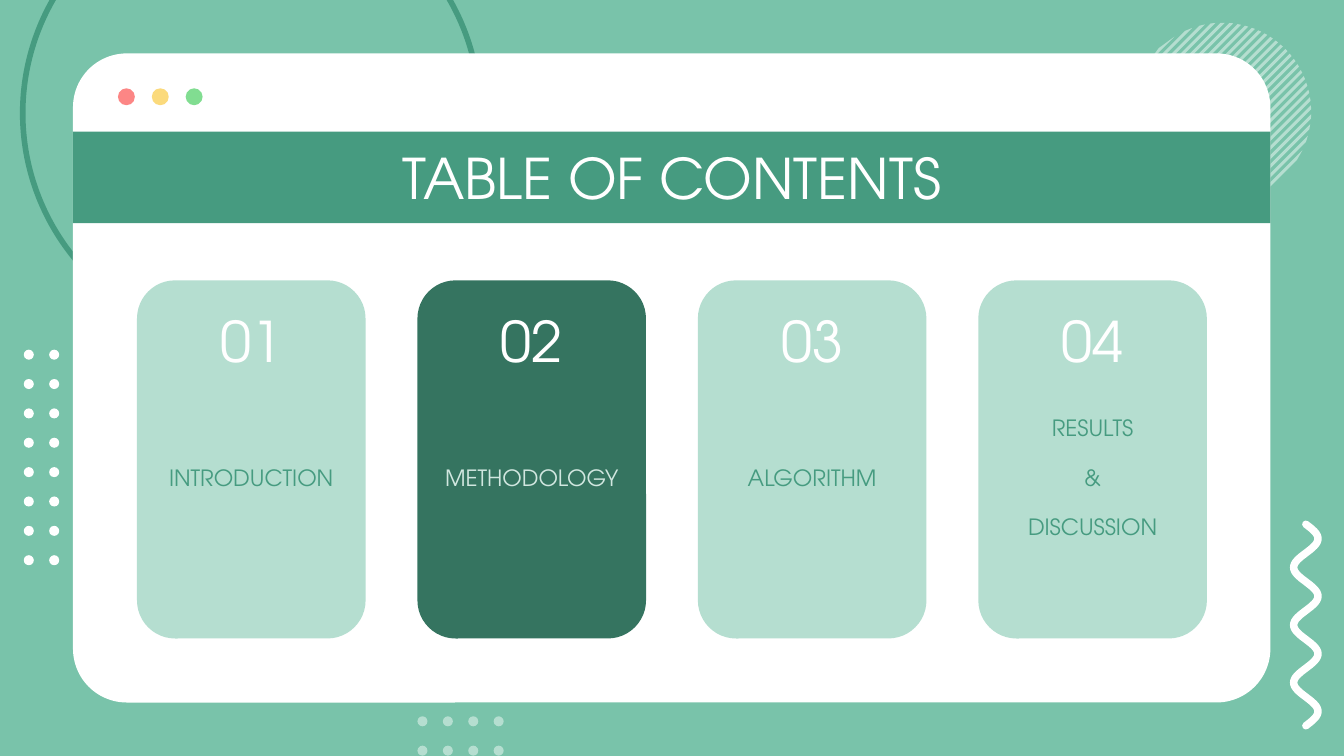
from dataclasses import dataclass
from math import pi, sin, sqrt

from lxml import etree
from pptx import Presentation
from pptx.dml.color import RGBColor
from pptx.enum.shapes import MSO_SHAPE
from pptx.enum.text import MSO_ANCHOR, PP_ALIGN
from pptx.oxml.ns import qn
from pptx.shapes.autoshape import Shape
from pptx.slide import Slide
from pptx.text.text import TextFrame
from pptx.util import Cm, Pt

OVAL = MSO_SHAPE.OVAL
RECTANGLE = MSO_SHAPE.RECTANGLE
ROUNDED = MSO_SHAPE.ROUNDED_RECTANGLE
MIDDLE = MSO_ANCHOR.MIDDLE
CENTER = PP_ALIGN.CENTER

FONT = "TeX Gyre Adventor"
WHITE = "FFFFFF"
BACKGROUND = "79C3AA"
GREEN = "469B80"
DARK_GREEN = "357460"
PALE_GREEN = "B5DED0"
MIST = "D1E7E0"


@dataclass(frozen=True)
class Card:
    number: str
    label: str
    fill: str = PALE_GREEN
    label_color: str = GREEN


@dataclass(frozen=True)
class DotGrid:
    left: float
    top: float
    columns: int
    rows: int
    color: str


CARDS = [
    Card("01", "INTRODUCTION"),
    Card("02", "METHODOLOGY", DARK_GREEN, MIST),
    Card("03", "ALGORITHM"),
    Card("04", "RESULTS\n&\nDISCUSSION"),
]
DOT_GRIDS = [
    DotGrid(0.45, 6.61, 2, 8, WHITE),
    DotGrid(7.89, 13.54, 4, 2, PALE_GREEN),
]
BUTTON_COLORS = ["FC8685", "FBDA7C", "81DD91"]


def rgb(color: str) -> RGBColor:
    return RGBColor.from_string(color)


def paint(shape: Shape, fill: str | None = None, line: str | None = None, width: float = 1) -> None:
    shape.shadow.inherit = False
    if fill:
        shape.fill.solid()
        shape.fill.fore_color.rgb = rgb(fill)
    else:
        shape.fill.background()
    if line:
        shape.line.color.rgb = rgb(line)
        shape.line.width = Pt(width)
    else:
        shape.line.fill.background()


def add_shape(
    page: Slide, kind: MSO_SHAPE, left: float, top: float, width: float, height: float,
    *, fill: str | None = None, line: str | None = None, line_width: float = 1,
    corner: float | None = None,
) -> Shape:
    shape = page.shapes.add_shape(kind, Cm(left), Cm(top), Cm(width), Cm(height))
    paint(shape, fill, line, line_width)
    if corner is not None:
        shape.adjustments[0] = corner
    return shape


def add_outline(page: Slide, points: list[tuple[float, float]], close: bool) -> Shape:
    corners = [(Cm(x), Cm(y)) for x, y in points]
    builder = page.shapes.build_freeform(*corners[0])
    builder.add_line_segments(corners[1:], close=close)
    return builder.convert_to_shape()


def write_text(
    frame: TextFrame, text: str, *, size: float, color: str, space_after: float = 0
) -> None:
    frame.word_wrap = True
    frame.vertical_anchor = MIDDLE
    frame.margin_left = frame.margin_right = frame.margin_top = frame.margin_bottom = 0
    for index, line in enumerate(text.split("\n")):
        para = frame.add_paragraph() if index else frame.paragraphs[0]
        para.alignment = CENTER
        para.space_after = Pt(space_after)
        span = para.add_run()
        span.text = line
        span.font.name = FONT
        span.font.size = Pt(size)
        span.font.color.rgb = rgb(color)


def draw_dots(page: Slide, grid: DotGrid) -> None:
    for column in range(grid.columns):
        for row in range(grid.rows):
            left = grid.left + column * 0.48
            top = grid.top + row * 0.555
            add_shape(page, OVAL, left, top, 0.19, 0.19, fill=grid.color)


def chord(
    center_x: float, center_y: float, radius: float, offset: float
) -> list[tuple[float, float]]:
    shift = offset / 2
    reach = sqrt(max(0, radius**2 - offset**2 / 2) / 2)
    return [
        (center_x + shift - reach, center_y + shift + reach),
        (center_x + shift + reach, center_y + shift - reach),
    ]


def draw_striped_disc(page: Slide, center_x: float, center_y: float, radius: float) -> None:
    for index in range(28):
        outer = -2.32 + index * 0.172
        near = chord(center_x, center_y, radius, outer - 0.08)
        far = chord(center_x, center_y, radius, outer)
        stripe = add_outline(page, near + far[::-1], close=True)
        paint(stripe, PALE_GREEN)


def draw_wave(page: Slide, middle: float, top: float, height: float) -> None:
    steps = 112
    points = [
        (middle + 0.23 * sin(7 * pi * step / steps), top + height * step / steps)
        for step in range(steps + 1)
    ]
    wave = add_outline(page, points, close=False)
    paint(wave, line=WHITE, width=4)
    stroke = wave.line._get_or_add_ln()
    stroke.set("cap", "rnd")
    etree.SubElement(stroke, qn("a:round"))


def draw_window(page: Slide) -> None:
    add_shape(page, ROUNDED, 1.38, 1.01, 22.63, 12.27, fill=WHITE, corner=0.083)
    for index, color in enumerate(BUTTON_COLORS):
        add_shape(page, OVAL, 2.23 + index * 0.64, 1.67, 0.32, 0.32, fill=color)


def draw_label(page: Slide, left: float, top: float, height: float) -> TextFrame:
    box = page.shapes.add_textbox(Cm(left), Cm(top), Cm(3.68), Cm(height))
    return box.text_frame


def draw_card(page: Slide, card: Card, left: float) -> None:
    add_shape(page, ROUNDED, left, 5.3, 4.32, 6.77, fill=card.fill, corner=0.167)
    number = draw_label(page, left + 0.32, 5.94, 0.99)
    write_text(number, card.number, size=30, color=WHITE)
    label = draw_label(page, left + 0.32, 8.26, 1.52)
    write_text(label, card.label, size=12, color=card.label_color, space_after=12)


def main() -> None:
    deck = Presentation()
    deck.slide_width, deck.slide_height = Cm(25.4), Cm(14.29)
    page = deck.slides.add_slide(deck.slide_layouts[6])
    page.background.fill.solid()
    page.background.fill.fore_color.rgb = rgb(BACKGROUND)

    add_shape(page, OVAL, 0.43, -2.18, 8.64, 8.64, line=GREEN, line_width=3)
    draw_striped_disc(page, 23.1, 2.11, 1.68)
    for grid in DOT_GRIDS:
        draw_dots(page, grid)
    draw_wave(page, 24.68, 9.91, 3.81)
    draw_window(page)
    for index, card in enumerate(CARDS):
        draw_card(page, card, 2.59 + index * 5.3)
    band = add_shape(page, RECTANGLE, 1.38, 2.49, 22.63, 1.73, fill=GREEN)
    write_text(band.text_frame, "TABLE OF CONTENTS", size=30, color=WHITE)
    deck.save("out.pptx")


if __name__ == "__main__":
    main()
